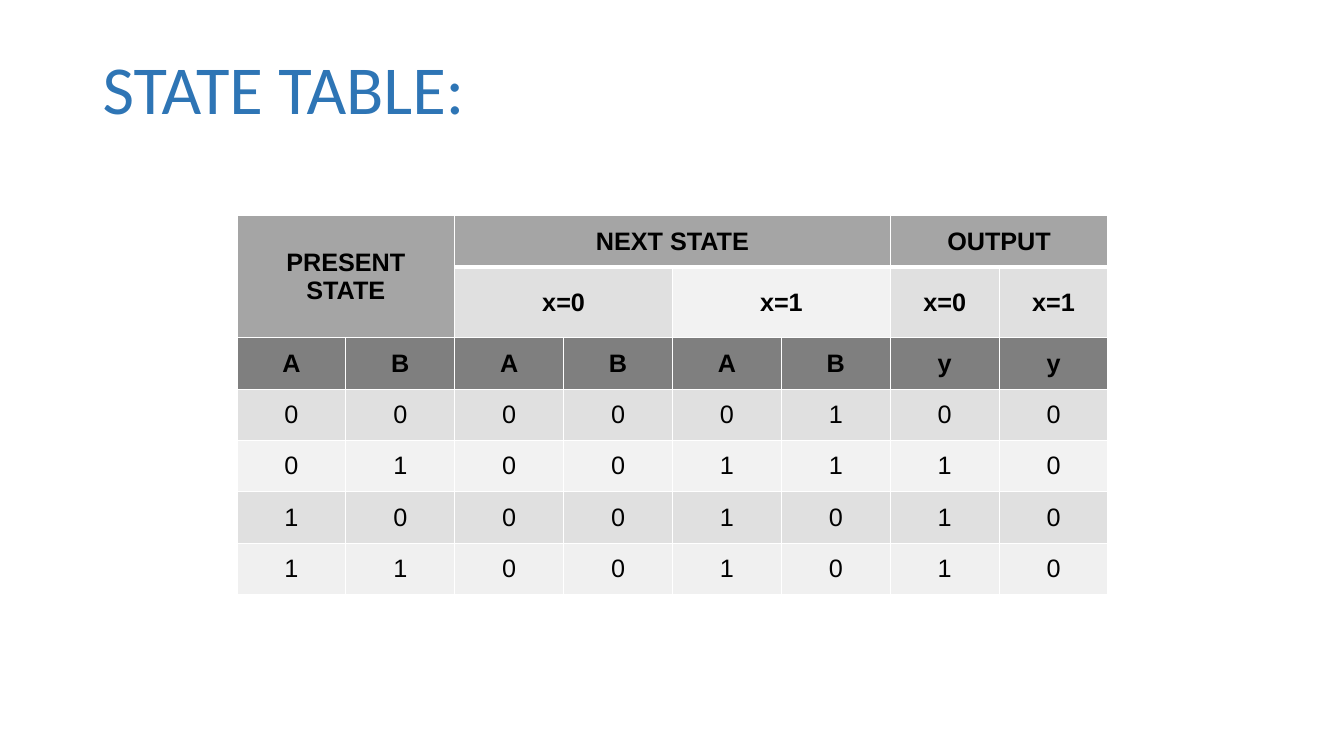
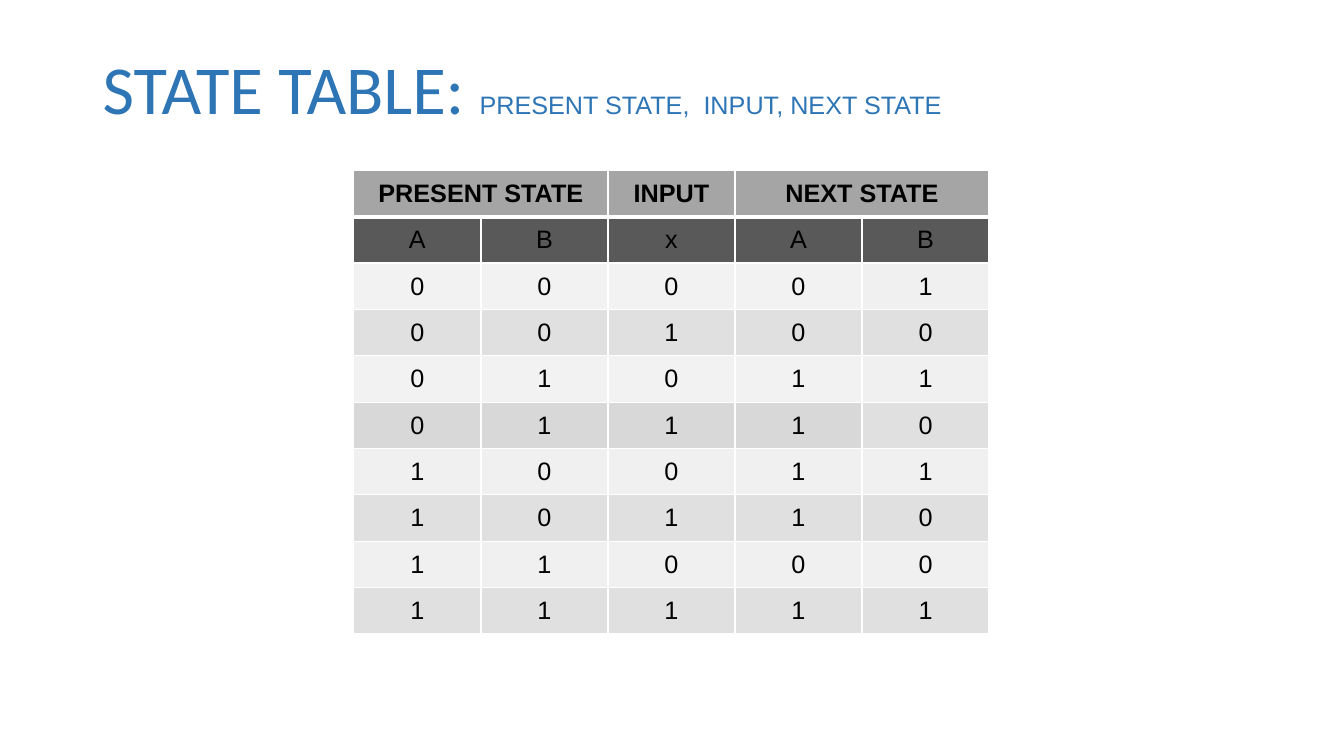
from lxml import etree
from pptx import Presentation
from pptx import util as u
from pptx.dml import color
from pptx.enum import text
from pptx.oxml import ns

COLOURS = {
    "title": "2E75B5", "ink": "000000", "border": "FFFFFF",
    "header": "A5A5A5", "variables": "7F7F7F", "dark variables": "595959",
    "deep band": "D8D8D8", "band": "E0E0E0", "soft": "F0F0F0", "light": "F2F2F2",
}
# One letter per cell describes the shading of a table row.
SHADES = {
    "H": "header", "V": "variables", "K": "dark variables",
    "D": "deep band", "B": "band", "S": "soft", "L": "light",
}

# Each row is (cell texts, shading); "" is a cell covered by a merge.
# Each merge is (first row, first column, last row, last column).
SLIDES = [
    {
        "title": [("STATE TABLE:", "Calibri", 49)],
        "left": 2.35, "top": 2.14, "column": 1.08,
        "heights": [0.51, 0.66] + [0.51] * 5,
        "bold_rows": 3,
        "merges": [(0, 0, 1, 1), (0, 2, 0, 5), (0, 6, 0, 7), (1, 2, 1, 3), (1, 4, 1, 5)],
        "rows": [
            (["PRESENT STATE", "", "NEXT STATE", "", "", "", "OUTPUT", ""], "HHHHHHHH"),
            (["", "", "x=0", "", "x=1", "", "x=0", "x=1"], "HHBBLLBB"),
            ("ABABAByy", "VVVVVVVV"),
            ("00000100", "BBBBBBBB"),
            ("01001110", "LLLLLLLL"),
            ("10001010", "BBBBBBBB"),
            ("11001010", "SSSSSSSS"),
        ],
    },
    {
        "title": [("STATE TABLE: ", "Calibri", 49),
                  ("PRESENT STATE,  INPUT, NEXT STATE", "Arial", 18)],
        "left": 3.51, "top": 1.69, "column": 1.26,
        "heights": [0.46] * 10,
        "bold_rows": 1,
        "merges": [(0, 0, 0, 1), (0, 3, 0, 4)],
        "rows": [
            (["PRESENT STATE", "", "INPUT", "NEXT STATE", ""], "HHHHH"),
            ("ABxAB", "KKKKK"),
            ("00001", "LLLLS"),
            ("00100", "BBBBB"),
            ("01011", "LLLLS"),
            ("01110", "DDDDB"),
            ("10011", "SSSSS"),
            ("10110", "BBBBB"),
            ("11000", "SSSSS"),
            ("11111", "BBBBB"),
        ],
    },
]


def add_run(paragraph, content, font="Arial", size=18, colour="ink", bold=False):
    run = paragraph.add_run()
    run.text = content
    run.font.name = font
    run.font.size = u.Pt(size)
    run.font.bold = bold
    run.font.color.rgb = color.RGBColor.from_string(COLOURS[colour])


def add_border(cell, side, points):
    """Draw one side of a cell; call in the order L, R, T, B, before the fill."""
    properties = cell._tc.get_or_add_tcPr()
    line = etree.SubElement(properties, ns.qn(f"a:ln{side}"), w=str(u.Pt(points)))
    fill = etree.SubElement(line, ns.qn("a:solidFill"))
    etree.SubElement(fill, ns.qn("a:srgbClr"), val=COLOURS["border"])


presentation = Presentation()
presentation.slide_width = u.Inches(13.33)
presentation.slide_height = u.Inches(7.5)

for content in SLIDES:
    slide = presentation.slides.add_slide(presentation.slide_layouts[6])

    title = slide.shapes.add_textbox(u.Inches(0.92), u.Inches(0.4), u.Inches(11.5), u.Inches(1.03))
    title.text_frame.word_wrap = True
    title.text_frame.vertical_anchor = text.MSO_ANCHOR.MIDDLE
    paragraph = title.text_frame.paragraphs[0]
    paragraph.line_spacing = 0.9
    for words, font, size in content["title"]:
        add_run(paragraph, words, font=font, size=size, colour="title")

    rows, heights = content["rows"], content["heights"]
    column_count = len(rows[0][1])
    table = slide.shapes.add_table(
        len(rows), column_count,
        u.Inches(content["left"]), u.Inches(content["top"]),
        u.Inches(content["column"] * column_count), u.Inches(sum(heights)),
    ).table
    table.first_row = table.horz_banding = False
    for column in table.columns:
        column.width = u.Inches(content["column"])
    for row, height in zip(table.rows, heights):
        row.height = u.Inches(height)

    for row_index, (labels, shading) in enumerate(rows):
        shading_below = rows[min(row_index + 1, len(rows) - 1)][1]
        for column_index, (label, shade) in enumerate(zip(labels, shading)):
            cell = table.cell(row_index, column_index)
            add_border(cell, "L", 1)
            add_border(cell, "R", 1)
            if row_index == 0:
                add_border(cell, "T", 1)
            ends_header = shade == "H" and shading_below[column_index] != "H"
            add_border(cell, "B", 3 if ends_header else 1)
            cell.fill.solid()
            cell.fill.fore_color.rgb = color.RGBColor.from_string(COLOURS[SHADES[shade]])
            cell.vertical_anchor = text.MSO_ANCHOR.MIDDLE
            if label:
                paragraph = cell.text_frame.paragraphs[0]
                paragraph.alignment = text.PP_ALIGN.CENTER
                add_run(paragraph, label, bold=row_index < content["bold_rows"])

    for first_row, first_column, last_row, last_column in content["merges"]:
        table.cell(first_row, first_column).merge(table.cell(last_row, last_column))

presentation.save("out.pptx")
